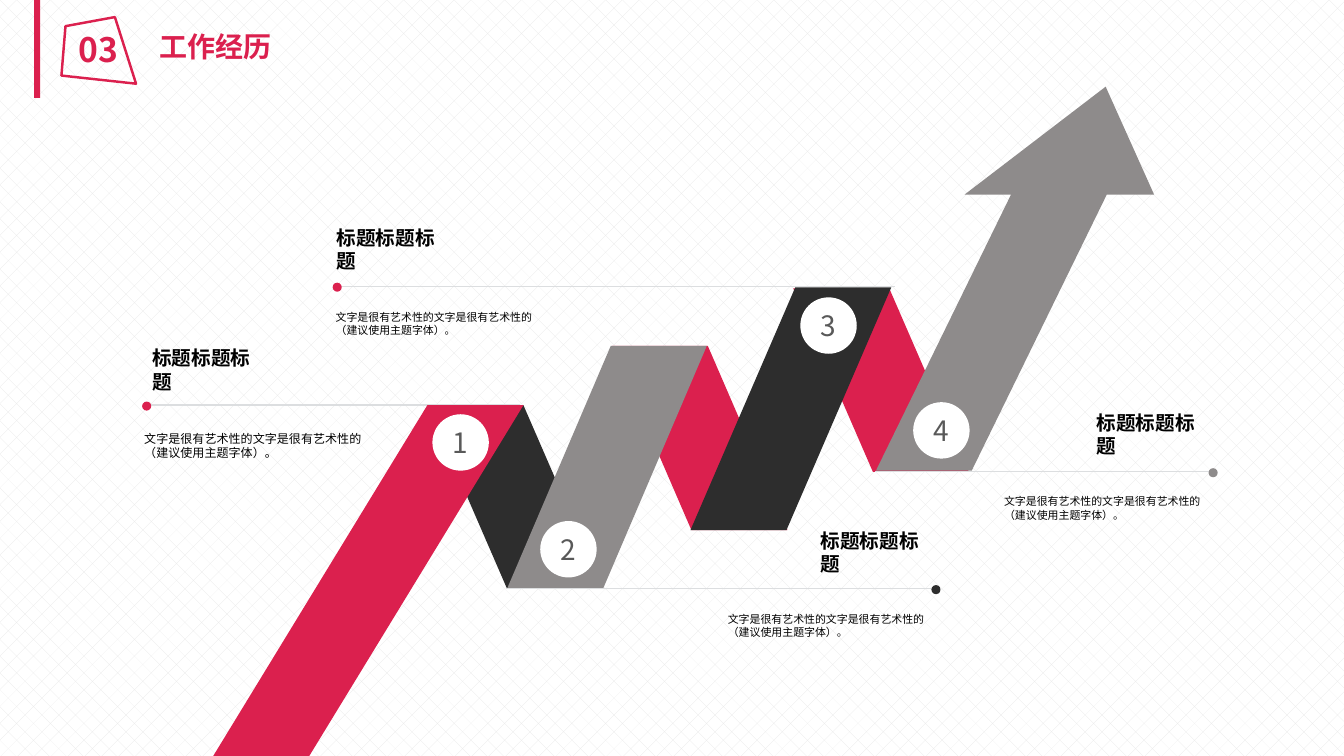
from dataclasses import dataclass

from lxml import etree
from pptx import Presentation
from pptx.dml.color import RGBColor
from pptx.enum.dml import MSO_PATTERN
from pptx.enum.shapes import MSO_CONNECTOR, MSO_SHAPE
from pptx.enum.text import MSO_ANCHOR, PP_ALIGN
from pptx.oxml.ns import qn
from pptx.util import Pt

DIAMONDS = MSO_PATTERN.DOTTED_DIAMOND
STRAIGHT = MSO_CONNECTOR.STRAIGHT
OVAL, RECT = MSO_SHAPE.OVAL, MSO_SHAPE.RECTANGLE
TOP, MIDDLE = MSO_ANCHOR.TOP, MSO_ANCHOR.MIDDLE
LEFT, CENTER = PP_ALIGN.LEFT, PP_ALIGN.CENTER


@dataclass(frozen=True)
class Theme:
    font: str = "Noto Sans CJK SC"
    red: RGBColor = RGBColor(0xDB, 0x20, 0x4E)
    dark: RGBColor = RGBColor(0x2D, 0x2D, 0x2D)
    gray: RGBColor = RGBColor(0x8E, 0x8B, 0x8B)
    rule: RGBColor = RGBColor(0xDC, 0xDE, 0xE0)
    weave: RGBColor = RGBColor(0xE7, 0xE7, 0xE7)
    numeral: RGBColor = RGBColor(0x59, 0x59, 0x59)
    black: RGBColor = RGBColor(0, 0, 0)
    white: RGBColor = RGBColor(0xFF, 0xFF, 0xFF)
    section: float = 24
    heading: float = 20
    title: float = 14
    first_body: float = 8.6
    body: float = 7.8


theme = Theme()
prs = Presentation()
prs.slide_width, prs.slide_height = Pt(960), Pt(540)
slide = prs.slides.add_slide(prs.slide_layouts[6])
shapes = slide.shapes

backdrop = slide.background.fill
backdrop.patterned()
backdrop.pattern = DIAMONDS
backdrop.fore_color.rgb = theme.weave
backdrop.back_color.rgb = theme.white


def write(shape, text, size, color, bold=False, align=LEFT, anchor=TOP, inset=(7.2, 3.6), wrap=True):
    frame = shape.text_frame
    frame.text = text
    frame.word_wrap = wrap
    frame.vertical_anchor = anchor
    frame.margin_left = frame.margin_right = Pt(inset[0])
    frame.margin_top = frame.margin_bottom = Pt(inset[1])
    paragraph = frame.paragraphs[0]
    paragraph.alignment = align
    for run in paragraph.runs:
        run.font.size = Pt(size)
        run.font.bold = bold
        run.font.color.rgb = color
        run.font.name = theme.font
        etree.SubElement(run._r.get_or_add_rPr(), qn("a:ea"), typeface=theme.font)


def outline(points, color):
    corners = [(Pt(x), Pt(y)) for x, y in points]
    builder = shapes.build_freeform(*corners[0], scale=1)
    builder.add_line_segments(corners[1:], close=True)
    shape = builder.convert_to_shape()
    shape.shadow.inherit = False
    shape.fill.solid()
    shape.fill.fore_color.rgb = color
    shape.line.fill.background()
    return shape


ribbon_width = 68.6
ribbons = [
    (566.6, 205.9, 623.5, 337, theme.red),
    (437, 247, 493.9, 378.7, theme.red),
    (305.3, 289.4, 362.2, 420.5, theme.dark),
    (568.1, 205.2, 493.2, 378.7, theme.dark),
    (436.3, 247, 362.2, 420.5, theme.gray),
    (305.3, 289.4, 151.9, 540.7, theme.red),
]
ribbon_corners = [
    ([(x1, y1), (x2, y2), (x2 + ribbon_width, y2), (x1 + ribbon_width, y1)], color)
    for x1, y1, x2, y2, color in ribbons
]
for corners, color in ribbon_corners[:-1]:
    outline(corners, color)

outline([(824.4, 139), (789.8, 61.9), (689, 139), (722.2, 139),
         (625.7, 336.2), (694.1, 336.2), (790.6, 139)], theme.gray)

title_text = "标题标题标题"
body_text = "文字是很有艺术性的文字是很有艺术性的\v（建议使用主题字体）。"
dot_size = 6.5
jobs = [
    ((106.6, 252, 24.5), (100.8, 306, 181.4), theme.first_body, (102.2, 371.5, 289.4), 101.5, theme.red),
    ((583.9, 383.8, 20.9), (517.7, 435.6, 156.2), theme.body, (361.4, 671, 420.5), 665.3, theme.dark),
    ((238.3, 165.6, 24.5), (237.6, 219.6, 156.2), theme.body, (238.3, 639.4, 204.5), 237.6, theme.red),
    ((781.2, 299.5, 20.9), (715, 351.4, 156.2), theme.body, (625, 868.3, 337), 863.3, theme.gray),
]
for (title_x, title_y, title_h), (body_x, body_y, body_w), body_size, (start, end, level), dot_x, color in jobs:
    title = shapes.add_textbox(Pt(title_x), Pt(title_y), Pt(88.6), Pt(title_h))
    write(title, title_text, theme.title, theme.black, bold=True, anchor=MIDDLE, inset=(2.2, 2.2), wrap=False)
    body = shapes.add_textbox(Pt(body_x), Pt(body_y), Pt(body_w), Pt(34.6))
    write(body, body_text, body_size, theme.black, inset=(2.2, 2.2))

    leader = shapes.add_connector(STRAIGHT, Pt(start), Pt(level), Pt(end), Pt(level))
    leader.line.color.rgb = theme.rule
    leader.line.width = Pt(1)
    etree.SubElement(leader._element.spPr, qn("a:effectLst"))

    dot = shapes.add_shape(OVAL, Pt(dot_x), Pt(level - 2.6), Pt(dot_size), Pt(dot_size))
    dot.shadow.inherit = False
    dot.fill.solid()
    dot.fill.fore_color.rgb = color
    dot.line.fill.background()

outline(*ribbon_corners[-1])

badge_size = 40.3
badge_spots = [(308.9, 295.9), (385.9, 372.2), (571.7, 212.4), (652.3, 287.3)]
for number, (x, y) in enumerate(badge_spots, 1):
    badge = shapes.add_shape(OVAL, Pt(x), Pt(y), Pt(badge_size), Pt(badge_size))
    badge.shadow.inherit = False
    badge.fill.solid()
    badge.fill.fore_color.rgb = theme.white
    badge.line.fill.background()
    write(badge, str(number), theme.heading, theme.numeral, align=CENTER, anchor=MIDDLE,
          inset=(1.4, 1.4), wrap=False)

heading = shapes.add_textbox(Pt(106.6), Pt(17.3), Pt(136.8), Pt(31.7))
write(heading, "工作经历", theme.heading, theme.red, bold=True)

section_frame = outline([(46.8, 18.7), (82.1, 12.2), (97.2, 59.8), (43.9, 54)], theme.red)
section_frame.fill.background()
section_frame.line.color.rgb = theme.red
section_frame.line.width = Pt(1.75)

section = shapes.add_textbox(Pt(22.3), Pt(17.3), Pt(96.5), Pt(36))
write(section, "03", theme.section, theme.red, bold=True, align=CENTER)

side_bar = shapes.add_shape(RECT, Pt(24.5), Pt(-0.7), Pt(4.3), Pt(70.6))
side_bar.shadow.inherit = False
side_bar.fill.solid()
side_bar.fill.fore_color.rgb = theme.red
side_bar.line.fill.background()

prs.save("out.pptx")
